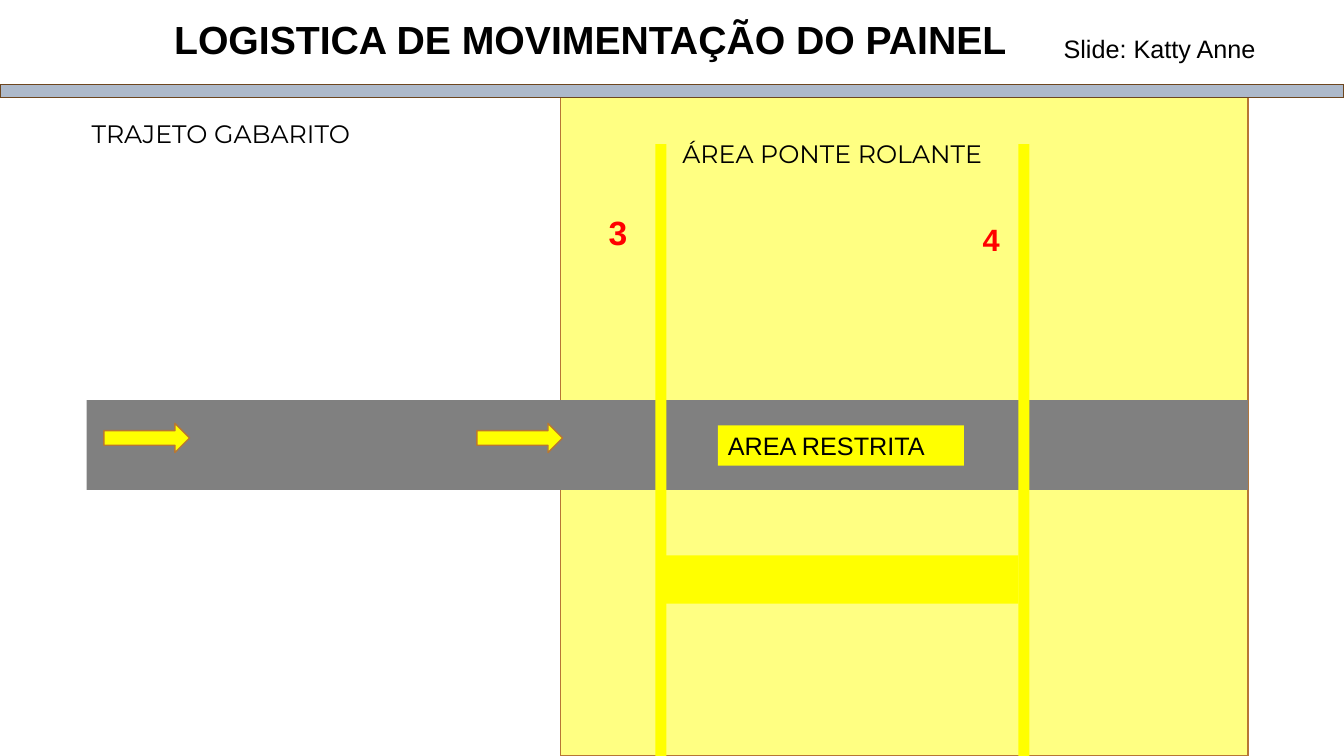
from lxml.etree import SubElement
from pptx import Presentation
from pptx.dml.color import RGBColor
from pptx.enum.shapes import MSO_SHAPE
from pptx.enum.text import MSO_ANCHOR, PP_ALIGN
from pptx.oxml.ns import qn
from pptx.util import Emu, Pt

PX = 9144
COLORS = {
    "yellow": "FFFF00",
    "road": "808080",
    "band": "ADB9CA",
    "outline": "B77635",
    "band_line": "6D461F",
    "red": "FF0000",
    "black": "000000",
}


def px(*lengths):
    """Turn px lengths into EMU."""
    return [Emu(n * PX) for n in lengths]


def paint(sp, color):
    """Give a shape a solid fill."""
    sp.fill.solid()
    sp.fill.fore_color.rgb = RGBColor.from_string(COLORS[color])


def add_block(s, box, fill, line=None, kind=MSO_SHAPE.RECTANGLE, alpha=None):
    """Draw a filled shape, outlined or see-through if asked."""
    sp = s.shapes.add_shape(kind, *px(*box))
    sp.shadow.inherit = False
    paint(sp, fill)
    if alpha:
        clr = sp.fill._xPr.find(qn("a:solidFill"))[0]
        SubElement(clr, qn("a:alpha"), val=str(alpha * 1000))
    if line:
        sp.line.color.rgb = RGBColor.from_string(COLORS[line])
        sp.line.width = Pt(1)
    else:
        sp.line.fill.background()


def add_label(s, box, text, size=18, font="Arial", color="black", bold=False,
              align=PP_ALIGN.LEFT, fill=None):
    """Write one line of text and return its text frame."""
    sp = s.shapes.add_textbox(*px(*box))
    if fill:
        paint(sp, fill)
    tf = sp.text_frame
    tf.word_wrap = True
    tf.text = text
    p = tf.paragraphs[0]
    p.alignment = align
    r = p.runs[0]
    r.font.name = font
    r.font.size = Pt(size)
    r.font.bold = bold
    r.font.color.rgb = RGBColor.from_string(COLORS[color])
    return tf


def add_header(s):
    """Draw the band, the title and the author."""
    add_block(s, (0, 84, 1333, 13), "band", "band_line")
    tf = add_label(s, (155, 7, 861, 69), "LOGISTICA DE MOVIMENTAÇÃO DO PAINEL",
                   28, bold=True, align=PP_ALIGN.CENTER)
    tf.vertical_anchor = MSO_ANCHOR.MIDDLE
    tf.paragraphs[0].line_spacing = 0.9
    add_label(s, (1045, 28, 298, 40), "Slide: Katty Anne")


def main():
    """Build the slide and save it."""
    prs = Presentation()
    prs.slide_width, prs.slide_height = px(1333, 750)
    s = prs.slides.add_slide(prs.slide_layouts[6])

    add_block(s, (556, 97, 682, 653), "yellow", "outline", alpha=49)
    add_block(s, (86, 397, 1152, 89), "road")
    for number, box, size in (("3", (586, 205, 54, 50), 24),
                              ("4", (956, 214, 54, 47), 22)):
        add_label(s, box, number, size, color="red", bold=True, align=PP_ALIGN.CENTER)
    for left in (650, 1010):
        add_block(s, (left, 143, 11, 610), "yellow")
    add_block(s, (655, 551, 355, 48), "yellow")

    add_label(s, (81, 112, 311, 40), "TRAJETO GABARITO", font="Montserrat")
    add_label(s, (667, 132, 366, 40), "ÁREA PONTE ROLANTE", font="Montserrat")
    for left in (473, 103):
        add_block(s, (left, 420, 85, 29), "yellow", "outline", MSO_SHAPE.RIGHT_ARROW)

    add_header(s)
    add_label(s, (712, 422, 244, 40), "AREA RESTRITA", fill="yellow")
    prs.save("out.pptx")


if __name__ == "__main__":
    main()
